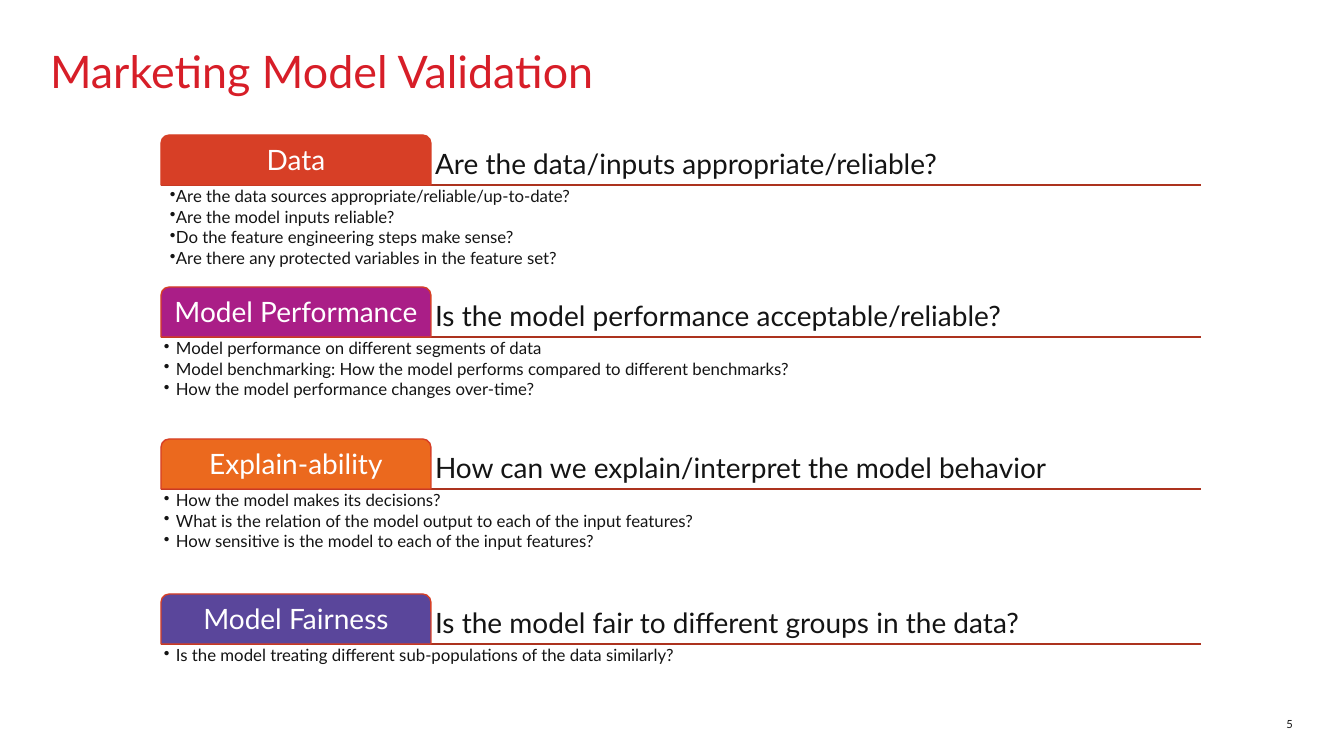
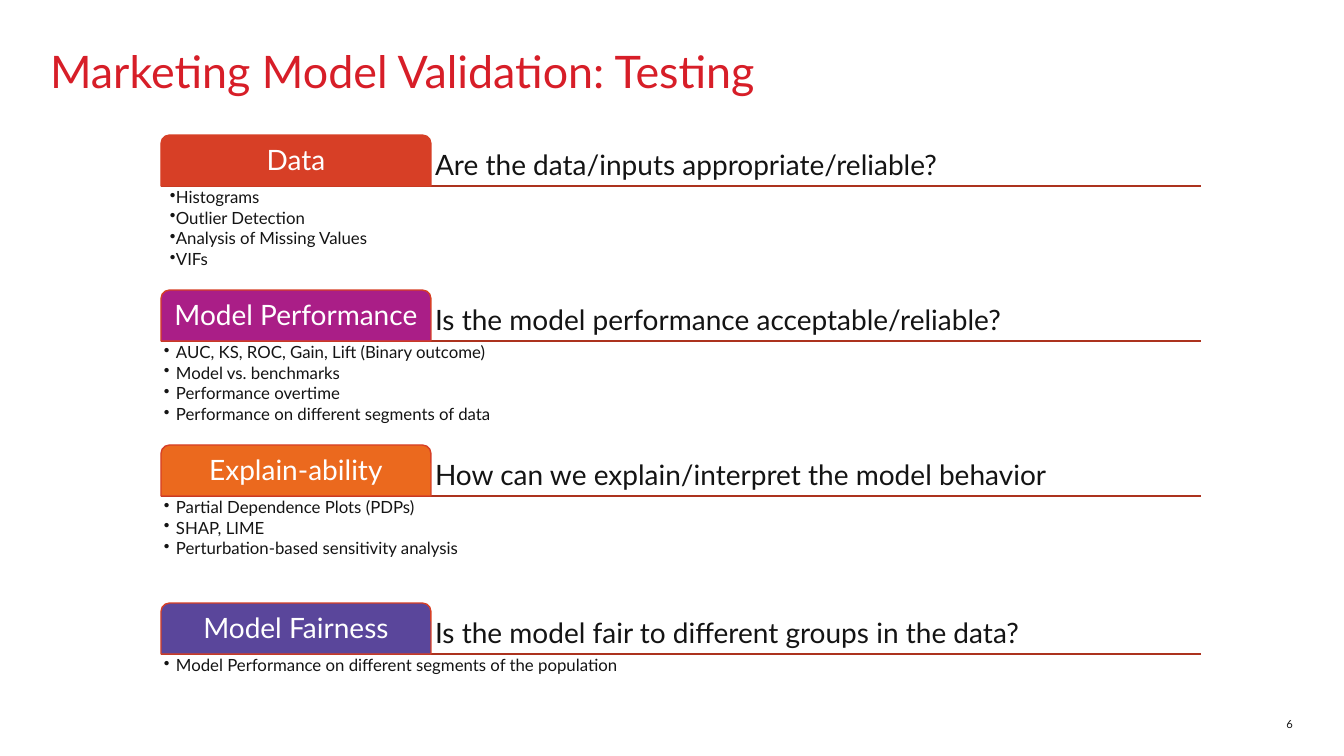
from lxml.etree import SubElement
from pptx import Presentation
from pptx.dml.color import RGBColor
from pptx.enum.shapes import MSO_CONNECTOR, MSO_SHAPE
from pptx.enum.text import MSO_ANCHOR, PP_ALIGN
from pptx.oxml.ns import qn
from pptx.util import Emu, Pt

SCALE = 914400 / 100.8
FONT = "Lato"
RED, INK, WHITE = "D71E28", "141414", "FFFFFF"
RULE, TAB_EDGE = "AC321E", "D73F26"

LEFT, TOP = 161, 135
TAB_WIDTH, ROW_WIDTH = 270, 1040
ROW_GAP = 2
TITLE_BOX = (50, 50, 1052, 86)
NUMBER_BOX = (1243, 706, 50, 25)
LOOSE, HANGING = (6, 0), (12, -12)

SECTIONS = [
    ("Data", "Are the data/inputs appropriate/reliable?", "D73F26", LOOSE),
    ("Model Performance", "Is the model performance acceptable/reliable?", "AA1E87", HANGING),
    ("Explain-ability", "How can we explain/interpret the model behavior", "EB691E", HANGING),
    ("Model Fairness", "Is the model fair to different groups in the data?", "5A469B", HANGING),
]

SLIDES = [
    {
        "title": "Marketing Model Validation",
        "number": "5",
        "tab_height": 50,
        "list_heights": [100, 100, 103, 100],
        "lists": [
            ["Are the data sources appropriate/reliable/up-to-date?",
             "Are the model inputs reliable?",
             "Do the feature engineering steps make sense?",
             "Are there any protected variables in the feature set?"],
            ["Model performance on different segments of data",
             "Model benchmarking: How the model performs compared to different benchmarks?",
             "How the model performance changes over-time?"],
            ["How the model makes its decisions?",
             "What is the relation of the model output to each of the input features?",
             "How sensitive is the model to each of the input features?"],
            ["Is the model treating different sub-populations of the data similarly?"],
        ],
    },
    {
        "title": "Marketing Model Validation: Testing",
        "number": "6",
        "tab_height": 51,
        "list_heights": [102, 102, 105, 102],
        "lists": [
            ["Histograms", "Outlier Detection", "Analysis of Missing Values", "VIFs"],
            ["AUC, KS, ROC, Gain, Lift (Binary outcome)",
             "Model vs. benchmarks",
             "Performance overtime",
             "Performance on different segments of data"],
            ["Partial Dependence Plots (PDPs)",
             "SHAP, LIME",
             "Perturbation-based sensitivity analysis"],
            ["Model Performance on different segments of the population"],
        ],
    },
]


def px(length):
    return Emu(round(length * SCALE))


def color(code):
    return RGBColor.from_string(code)


def place(shape, box):
    shape.left, shape.top, shape.width, shape.height = map(px, box)


def write(shape, lines, size, ink=INK, align=PP_ALIGN.LEFT, anchor=MSO_ANCHOR.TOP,
          inset=0, spacing=0.9, after=0, indent=None):
    frame = shape.text_frame
    frame.word_wrap = True
    frame.vertical_anchor = anchor
    frame.margin_left = frame.margin_right = px(inset)
    frame.margin_top = frame.margin_bottom = px(inset)
    for index, line in enumerate(lines):
        paragraph = frame.add_paragraph() if index else frame.paragraphs[0]
        if indent:
            paragraph.level = 1
            properties = paragraph._p.get_or_add_pPr()
            margin, hang = indent
            properties.set("marL", str(px(margin)))
            properties.set("indent", str(px(hang)))
            SubElement(properties, qn("a:buChar")).set("char", "•")
        paragraph.alignment = align
        paragraph.line_spacing = spacing
        paragraph.space_after = Pt(after)
        run = paragraph.add_run()
        run.text = line
        run.font.name = FONT
        run.font.size = Pt(size)
        run.font.color.rgb = color(ink)


def add_text(slide, box, lines, size, **style):
    write(slide.shapes.add_textbox(*map(px, box)), lines, size, **style)


def add_rule(slide, y):
    rule = slide.shapes.add_connector(
        MSO_CONNECTOR.STRAIGHT, px(LEFT), px(y), px(LEFT + ROW_WIDTH), px(y))
    rule.line.color.rgb = color(RULE)
    rule.line.width = Pt(1)
    SubElement(rule._element.spPr, qn("a:effectLst"))


def add_tab(slide, box, label, fill):
    tab = slide.shapes.add_shape(MSO_SHAPE.ROUND_2_SAME_RECTANGLE, *map(px, box))
    tab.shadow.inherit = False
    tab.fill.solid()
    tab.fill.fore_color.rgb = color(fill)
    tab.line.color.rgb = color(TAB_EDGE)
    tab.line.width = Pt(1)
    write(tab, [label], 20, ink=WHITE, align=PP_ALIGN.CENTER,
          anchor=MSO_ANCHOR.MIDDLE, inset=4, after=7)


def add_section(slide, top, tab_height, list_height, section, points):
    label, question, fill, indent = section
    base = top + tab_height
    add_rule(slide, base)
    add_text(slide, (LEFT + TAB_WIDTH, top, ROW_WIDTH - TAB_WIDTH, tab_height),
             [question], 20, anchor=MSO_ANCHOR.BOTTOM, inset=4, after=7)
    add_tab(slide, (LEFT, top, TAB_WIDTH, tab_height), label, fill)
    add_text(slide, (LEFT, base, ROW_WIDTH, list_height), points, 12,
             inset=3, after=1.8, indent=indent)


def build_slide(deck, content):
    slide = deck.slides.add_slide(deck.slide_layouts.get_by_name("Title Only"))
    title = slide.shapes.title
    place(title, TITLE_BOX)
    write(title, [content["title"]], 32, ink=RED)
    add_text(slide, NUMBER_BOX, [content["number"]], 8, align=PP_ALIGN.RIGHT,
             anchor=MSO_ANCHOR.BOTTOM, spacing=1.0)
    top, tab_height = TOP, content["tab_height"]
    for section, points, list_height in zip(
            SECTIONS, content["lists"], content["list_heights"]):
        add_section(slide, top, tab_height, list_height, section, points)
        top += tab_height + list_height + ROW_GAP


def main():
    deck = Presentation()
    deck.slide_width, deck.slide_height = px(1344), px(756)
    for content in SLIDES:
        build_slide(deck, content)
    deck.save("out.pptx")


if __name__ == "__main__":
    main()
